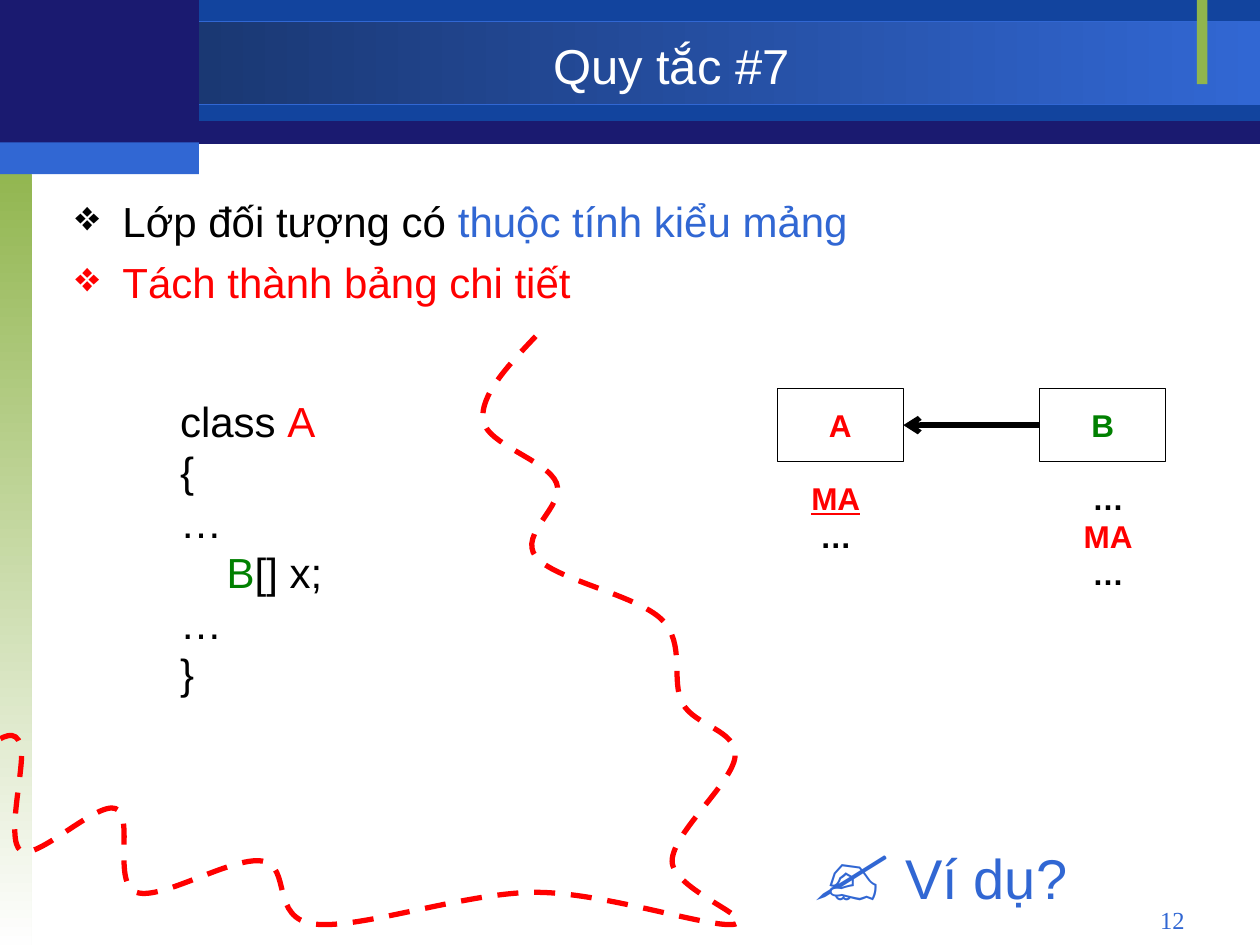
from lxml import etree
from pptx import Presentation, util as u
from pptx.dml.color import RGBColor
from pptx.enum import dml, shapes, text
from pptx.oxml import ns

COLORS = {
    "navy": "1A1A70", "royal": "12449E", "blue": "3167D3", "dusk": "162F61",
    "lime": "90B54D", "paper": "FEFEFE", "white": "FFFFFF", "black": "000000",
    "red": "FF0000", "green": "008000",
}
LEFT, CENTER, RIGHT = text.PP_ALIGN.LEFT, text.PP_ALIGN.CENTER, text.PP_ALIGN.RIGHT
TOP, MIDDLE = text.MSO_ANCHOR.TOP, text.MSO_ANCHOR.MIDDLE


def rgb(name):
    return RGBColor.from_string(COLORS[name])


def write(shape, lines, size, align=LEFT, anchor=TOP, font="Arial", bold=False,
          wrap=True, before=0):
    """Fill a shape with lines; each line is a list of (words, colour[, underline])."""
    frame = shape.text_frame
    frame.word_wrap, frame.vertical_anchor = wrap, anchor
    for number, line in enumerate(lines):
        paragraph = frame.add_paragraph() if number else frame.paragraphs[0]
        paragraph.alignment = align
        paragraph.space_before = u.Pt(before)
        paragraph.line_spacing = u.Pt(size * 1.2)
        for words, color, *underline in line:
            run = paragraph.add_run()
            run.text = words
            run.font.name, run.font.size, run.font.bold = font, u.Pt(size), bold
            run.font.color.rgb = rgb(color)
            run.font.underline = bool(underline)
    return frame.paragraphs


deck = Presentation()
deck.slide_width, deck.slide_height = u.Cm(25.4), u.Cm(19.05)
slide = deck.slides.add_slide(deck.slide_layouts[5])
items = slide.shapes

# Header bands and side stripe: box, fill (two colours and angle for a gradient), line
bands = [
    ((0, 0.03, 25.4, 2.87), ["navy"], None),
    ((4.01, 0, 21.39, 2.44), ["royal"], None),
    ((0, 0.43, 25.4, 1.68), ["blue", "dusk", 180], "blue"),
    ((0, 3.18, 0.64, 15.87), ["lime", "paper", 270], None),
    ((24.13, 0, 0.21, 1.7), ["lime"], None),
    ((0, 0, 4.01, 2.97), ["navy"], None),
    ((0, 2.87, 4.01, 0.64), ["blue"], None),
]
for box, paint, edge in bands:
    band = items.add_shape(shapes.MSO_SHAPE.RECTANGLE, *map(u.Cm, box))
    band.shadow.inherit = False
    if len(paint) == 1:
        band.fill.solid()
        band.fill.fore_color.rgb = rgb(paint[0])
    else:
        band.fill.gradient()
        band.fill.gradient_angle = paint[2]
        for stop, color, position in zip(band.fill.gradient_stops, paint, (0, 1)):
            stop.color.rgb = rgb(color)
            stop.position = position
    if edge:
        band.line.color.rgb = rgb(edge)
        band.line.width = u.Pt(0.75)
    else:
        band.line.fill.background()

# Title, brought in front of the bands
title = items.title
title.left, title.top, title.width, title.height = map(u.Cm, (4.01, 0.58, 19.05, 1.47))
write(title, [[("Quy tắc #7", "white")]], 28, align=CENTER, anchor=MIDDLE)
items._spTree.append(title._element)

# Rule, with diamond bullets
rule = items.add_textbox(*map(u.Cm, (1.27, 3.81, 22.86, 3)))
rule_lines = write(rule, [
    [("Lớp đối tượng có ", "black"), ("thuộc tính kiểu mảng", "blue")],
    [("Tách thành bảng chi tiết", "red")],
], 24, before=6)
for line, color in zip(rule_lines, ("black", "red")):
    props = line._p.get_or_add_pPr()
    props.set("marL", str(u.Cm(0.95)))
    props.set("indent", str(-u.Cm(0.95)))
    bullet_color = etree.SubElement(props, ns.qn("a:buClr"))
    etree.SubElement(bullet_color, ns.qn("a:srgbClr"), val=COLORS[color])
    etree.SubElement(props, ns.qn("a:buChar"), char="❖")

# Class listing; the member line is indented with a tab before its name
listing = items.add_textbox(*map(u.Cm, (3.38, 7.85, 5.28, 6.35)))
listing_lines = write(listing, [
    [("class ", "black"), ("A", "red")],
    [("{", "black")],
    [("…", "black")],
    [("B", "green"), ("[]\tx;", "black")],
    [("…", "black")],
    [("}", "black")],
], 24)
member = listing_lines[3]._p.get_or_add_pPr()
member.set("marL", str(u.Cm(0.94)))
member.set("indent", "0")
tabs = etree.SubElement(member, ns.qn("a:tabLst"))
etree.SubElement(tabs, ns.qn("a:tab"), pos=str(u.Cm(3.39)), algn="l")

# Dashed divider: a smooth curve through its knots
knots = [
    (10.8, 6.78), (9.74, 8.47), (11.22, 9.74), (10.8, 11.22), (13.34, 12.49),
    (13.76, 14.18), (14.82, 15.24), (13.55, 17.36), (14.82, 18.63), (10.8, 17.99),
    (6.35, 18.63), (5.29, 17.36), (2.75, 17.99), (2.33, 16.3), (0.42, 17.15),
    (0.42, 15.03), (-0.21, 15.03),
]
outline = [(u.Cm(x), u.Cm(y)) for x, y in knots]
builder = items.build_freeform(*outline[0])
builder.add_line_segments(outline[1:], close=False)
divider = builder.convert_to_shape()
divider.shadow.inherit = False
divider.fill.background()
divider.line.color.rgb = rgb("red")
divider.line.width = u.Pt(3)
divider.line.dash_style = dml.MSO_LINE.DASH

# Each handle lies a sixth of the way between the neighbours of its knot
points = [(int(p.get("x")), int(p.get("y"))) for p in divider._element.iter(ns.qn("a:pt"))]
last = len(points) - 1
tangents = [(0, 0)] + [
    tuple((b - a) / 6 for a, b in zip(points[i - 1], points[i + 1])) for i in range(1, last)
] + [(0, 0)]
for i, segment in enumerate(list(divider._element.iter(ns.qn("a:lnTo")))):
    start, end = points[i], points[i + 1]
    leave = [p + t for p, t in zip(start, tangents[i])]
    arrive = [p - t for p, t in zip(end, tangents[i + 1])]
    if i == 0:
        leave = [(p + q) / 2 for p, q in zip(start, arrive)]
    if i == last - 1:
        arrive = [(p + q) / 2 for p, q in zip(end, leave)]
    curve = etree.Element(ns.qn("a:cubicBezTo"))
    for x, y in (leave, arrive, end):
        etree.SubElement(curve, ns.qn("a:pt"), x=str(round(x)), y=str(round(y)))
    segment.getparent().replace(segment, curve)

# Call for an example
example = items.add_textbox(*map(u.Cm, (16.15, 16.31, 5.66, 2.29)))
example_line = write(example, [[("✍", "blue"), (" Ví dụ?", "blue")]], 48, wrap=False)[0]
example_line.runs[1].font.size = u.Pt(32)

# Tables A and B, their columns below
tables = []
diagram = [
    ("A", "red", 15.67, 16.1, [[("MA", "red", True)], [("…", "black")]]),
    ("B", "green", 20.96, 21.59, [[("…", "black")], [("MA", "red")], [("…", "black")]]),
]
for name, color, left, columns_left, columns in diagram:
    table = items.add_shape(shapes.MSO_SHAPE.RECTANGLE, *map(u.Cm, (left, 7.83, 2.54, 1.48)))
    table.shadow.inherit = False
    table.fill.solid()
    table.fill.fore_color.rgb = rgb("white")
    table.line.color.rgb = rgb("black")
    table.line.width = u.Pt(0.75)
    write(table, [[(name, color)]], 18, align=CENTER, anchor=MIDDLE, bold=True, wrap=False)
    tables.append(table)
    fields = items.add_textbox(*map(u.Cm, (columns_left, 9.53, 1.5, 0.25 + 0.76 * len(columns))))
    write(fields, columns, 18, align=CENTER, bold=True, wrap=False)

# Reference from B to A
reference = items.add_connector(shapes.MSO_CONNECTOR.STRAIGHT, 0, 0, 0, 0)
reference.begin_connect(tables[1], 1)
reference.end_connect(tables[0], 3)
reference.line.color.rgb = rgb("black")
reference.line.width = u.Pt(3)
etree.SubElement(reference.line._get_or_add_ln(), ns.qn("a:tailEnd"), type="arrow")
etree.SubElement(reference._element.spPr, ns.qn("a:effectLst"))

# Page number
page = items.add_textbox(*map(u.Cm, (18.21, 18.11, 5.92, 0.69)))
write(page, [[("12", "blue")]], 14, align=RIGHT, font="Times New Roman")

deck.save("out.pptx")
